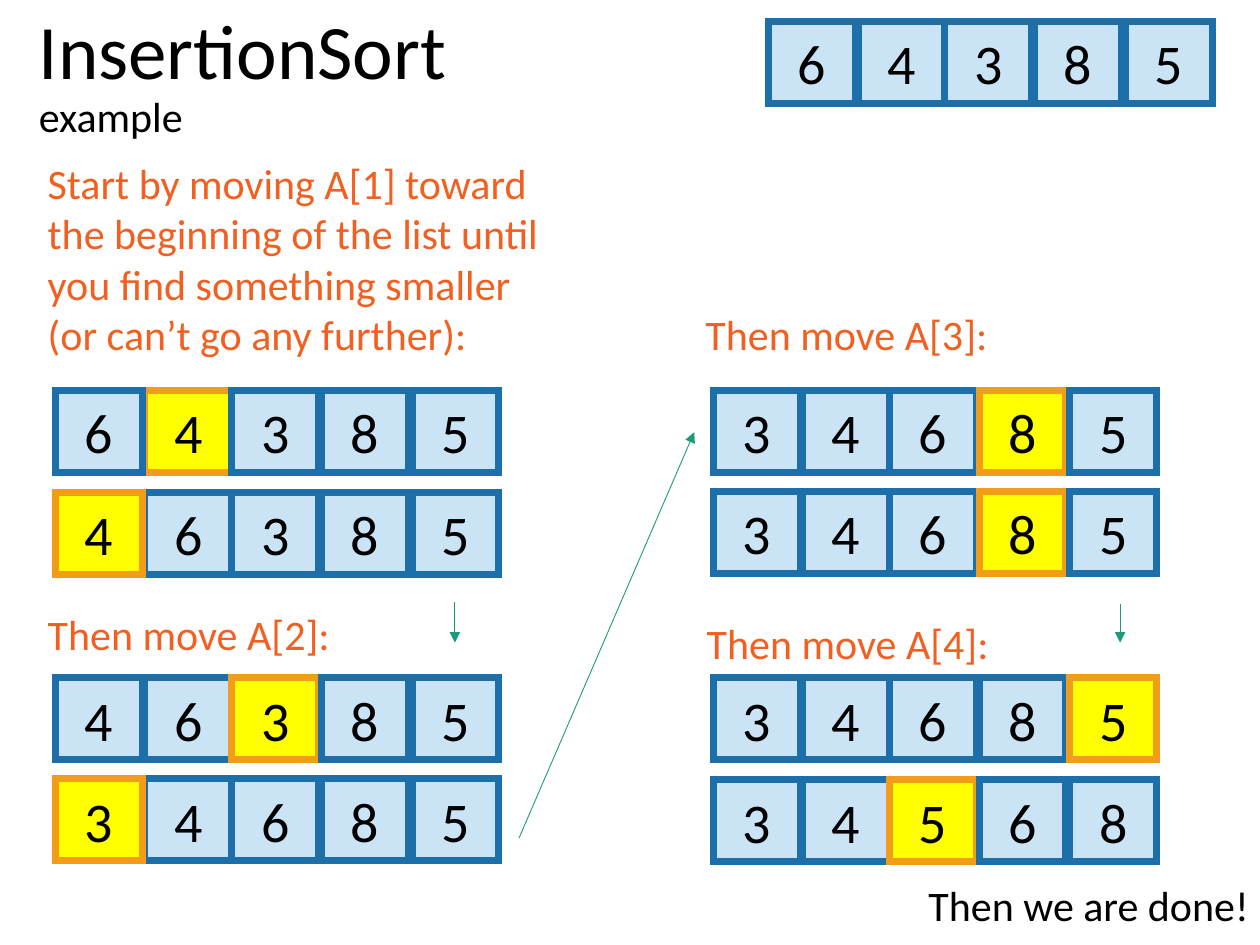
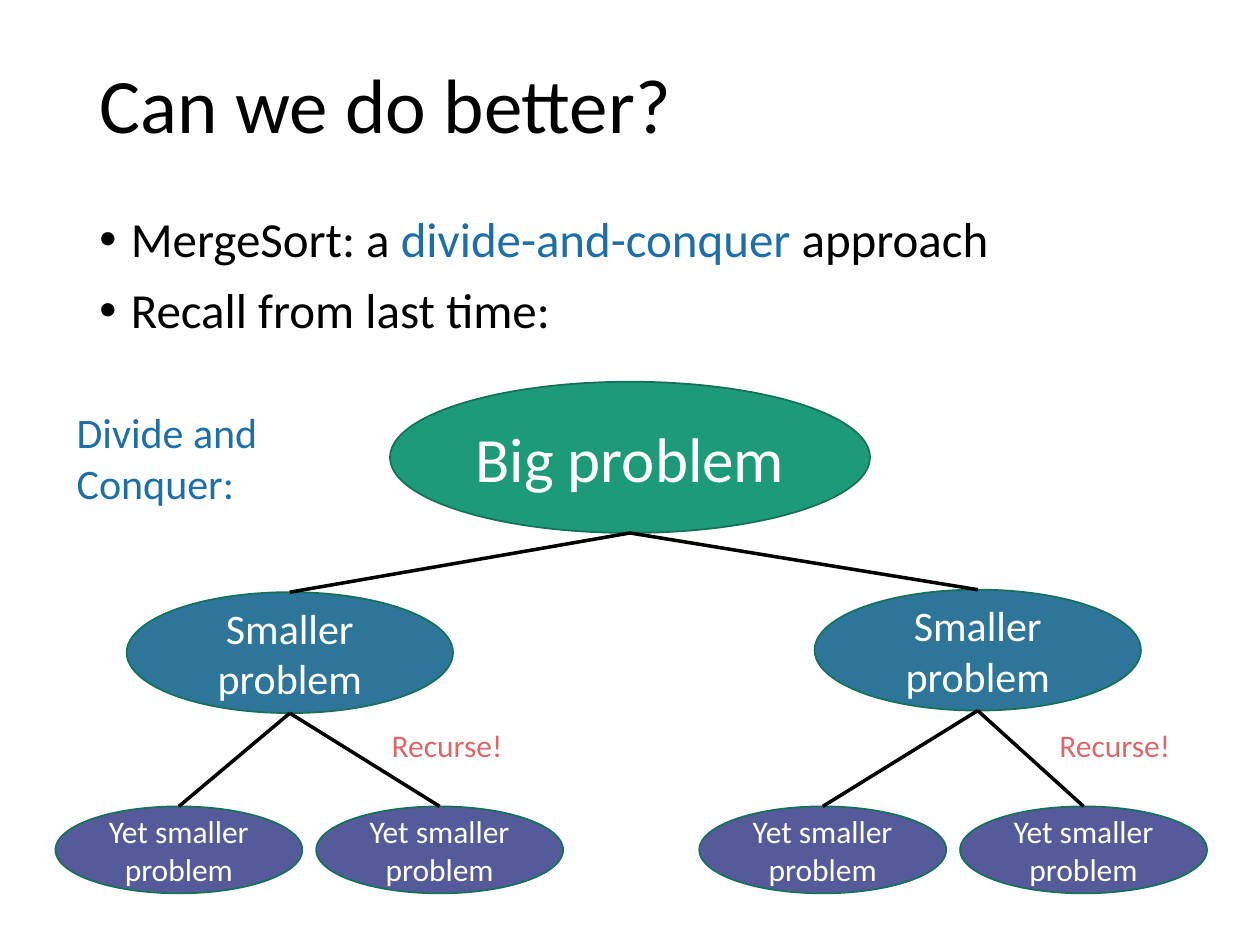
from lxml import etree
from pptx import Presentation
from pptx.dml.color import RGBColor
from pptx.enum.shapes import MSO_CONNECTOR as CONN, MSO_SHAPE as SHAPE
from pptx.enum.text import MSO_ANCHOR as ANCHOR, PP_ALIGN as ALIGN
from pptx.oxml.ns import qn
from pptx.util import Inches, Pt

BLACK = RGBColor(0x00, 0x00, 0x00)
WHITE = RGBColor(0xFF, 0xFF, 0xFF)
BLUE = RGBColor(0x1D, 0x6F, 0xA9)
PALE_BLUE = RGBColor(0xCA, 0xE4, 0xF6)
YELLOW = RGBColor(0xFF, 0xFF, 0x00)
AMBER = RGBColor(0xF1, 0x9D, 0x19)
ORANGE = RGBColor(0xF2, 0x60, 0x21)
GREEN = RGBColor(0x1D, 0x9A, 0x78)
DARK_GREEN = RGBColor(0x15, 0x72, 0x59)
TEAL = RGBColor(0x2E, 0x75, 0x9A)
PURPLE = RGBColor(0x55, 0x5B, 0x9A)
RED = RGBColor(0xDE, 0x67, 0x69)

CELL_OFFSETS = (0, 0.71, 1.4, 2.11, 2.83)
PAINT_ORDER = (1, 0, 2, 3, 4)
LEFT, RIGHT = 0.44, 5.66

ARRAYS = [
    (LEFT, 3.1, "64385", 1),
    (LEFT, 3.91, "46385", 0),
    (LEFT, 5.38, "46385", 2),
    (LEFT, 6.18, "34685", 0),
    (RIGHT, 3.1, "34685", 3),
    (RIGHT, 3.9, "34685", 3),
    (RIGHT, 5.38, "34685", 4),
    (RIGHT, 6.19, "34568", 2),
    (6.1, 0.17, "64385", None),
]
STEPS = [
    (0.28, 1.2, 4.28, 1.72, "Start by moving A[1] toward the beginning of the list "
                            "until you find something smaller (or can’t go any further):"),
    (0.28, 4.78, 3.82, 0.5, "Then move A[2]:"),
    (5.5, 2.4, 3.82, 0.5, "Then move A[3]:"),
    (5.51, 4.85, 3.82, 0.5, "Then move A[4]:"),
]
ARROWS = [(3.61, 4.78, 3.61, 5.1), (4.12, 6.65, 5.51, 3.43), (8.89, 4.79, 8.89, 5.1)]

LEVELS = [
    ("Big problem", 3.81, 1.2, GREEN, 36),
    ("Smaller problem", 2.59, 0.96, TEAL, 24),
    ("Yet smaller problem", 1.96, 0.69, PURPLE, 18),
]
TREE = (5, 3.03, [
    (2.3, 4.7, [(1.42, 6.4, []), (3.49, 6.4, [])]),
    (7.76, 4.68, [(6.53, 6.4, []), (8.6, 6.4, [])]),
])


class Deck:
    """Holds the shared style and the slide being built."""

    def __init__(self):
        self.prs = Presentation()
        self.prs.slide_width, self.prs.slide_height = Inches(10), Inches(7.5)
        self.font = "Calibri"

    def new_slide(self):
        self.s = self.prs.slides.add_slide(self.prs.slide_layouts[6])

    def run(self, p, text, size, color):
        r = p.add_run()
        r.text = text
        r.font.name, r.font.size, r.font.color.rgb = self.font, Pt(size), color

    def box(self, x, y, w, h, anchor=ANCHOR.TOP, wrap=True):
        sp = self.s.shapes.add_textbox(Inches(x), Inches(y), Inches(w), Inches(h))
        tf = sp.text_frame
        tf.word_wrap, tf.vertical_anchor = wrap, anchor
        return tf

    def label(self, x, y, w, h, text, size, color, wrap=True, right_inset=0.1):
        tf = self.box(x, y, w, h, wrap=wrap)
        tf.margin_right = Inches(right_inset)
        self.run(tf.paragraphs[0], text, size, color)

    def title(self, x, y, h, text, subtitle=None):
        p = self.box(x, y, 8.62, h, ANCHOR.MIDDLE).paragraphs[0]
        p.line_spacing = 0.9
        self.run(p, text, 44, BLACK)
        if subtitle:
            p.add_line_break()
            self.run(p, subtitle, 24, BLACK)

    def bullets(self, x, y, w, h, items):
        tf = self.box(x, y, w, h)
        for i, runs in enumerate(items):
            p = tf.add_paragraph() if i else tf.paragraphs[0]
            pPr = p._p.get_or_add_pPr()
            pPr.set("marL", str(Inches(0.25)))
            pPr.set("indent", str(-Inches(0.25)))
            etree.SubElement(pPr, qn("a:buFont"), typeface="Arial")
            etree.SubElement(pPr, qn("a:buChar"), char="•")
            p.line_spacing = 0.9
            if i:
                p.space_before = Pt(10)
            for text, color in runs:
                self.run(p, text, 28, color)

    def shape(self, kind, x, y, w, h, text, size, color, fill, line, weight):
        sp = self.s.shapes.add_shape(kind, Inches(x), Inches(y), Inches(w), Inches(h))
        sp.shadow.inherit = False
        sp.fill.solid()
        sp.fill.fore_color.rgb = fill
        sp.line.color.rgb, sp.line.width = line, Pt(weight)
        etree.SubElement(sp.line._get_or_add_ln(), qn("a:miter"), lim="800000")
        tf = sp.text_frame
        tf.word_wrap, tf.vertical_anchor = True, ANCHOR.MIDDLE
        p = tf.paragraphs[0]
        p.alignment = ALIGN.CENTER
        self.run(p, text, size, color)

    def array(self, x, y, digits, marked):
        for i in PAINT_ORDER:
            fill, line = (YELLOW, AMBER) if i == marked else (PALE_BLUE, BLUE)
            self.shape(SHAPE.RECTANGLE, x + CELL_OFFSETS[i], y, 0.69, 0.65,
                       digits[i], 32, BLACK, fill, line, 4)

    def line(self, x1, y1, x2, y2, color, weight, arrow=False):
        c = self.s.shapes.add_connector(CONN.STRAIGHT, Inches(x1), Inches(y1),
                                        Inches(x2), Inches(y2))
        c.line.color.rgb, c.line.width = color, Pt(weight)
        if arrow:
            etree.SubElement(c.line._get_or_add_ln(), qn("a:tailEnd"), type="triangle")
        etree.SubElement(c._element.spPr, qn("a:effectLst"))

    def tree(self, node, level=0):
        x, y, children = node
        text, w, h, fill, size = LEVELS[level]
        self.shape(SHAPE.OVAL, x - w / 2, y, w, h, text, size, WHITE, fill, DARK_GREEN, 1)
        for child in children:
            self.tree(child, level + 1)
            self.line(x, y + h, child[0], child[1], BLACK, 2)


def insertion_sort(deck):
    deck.new_slide()
    deck.title(0.21, -0.11, 1.45, "InsertionSort", "example")
    for array in ARRAYS:
        deck.array(*array)
    for step in STEPS:
        deck.label(*step, 24, ORANGE)
    deck.label(7.27, 6.93, 2.73, 0.5, "Then we are done!", 24, BLACK, right_inset=0)
    for arrow in ARROWS:
        deck.line(*arrow, GREEN, 0.5, arrow=True)


def divide_and_conquer(deck):
    deck.new_slide()
    deck.title(0.69, 0.4, 0.92, "Can we do better?")
    deck.bullets(0.69, 1.66, 8.62, 1.25, [
        [("MergeSort: a ", BLACK), ("divide-and-conquer", BLUE), (" approach", BLACK)],
        [("Recall from last time:", BLACK)],
    ])
    deck.tree(TREE)
    deck.label(0.51, 3.18, 1.82, 0.91, "Divide and Conquer:", 24, BLUE)
    for x in (3.01, 8.31):
        deck.label(x, 5.71, 1.09, 0.4, "Recurse!", 18, RED, wrap=False)


def main():
    deck = Deck()
    insertion_sort(deck)
    divide_and_conquer(deck)
    deck.prs.save("out.pptx")


if __name__ == "__main__":
    main()
